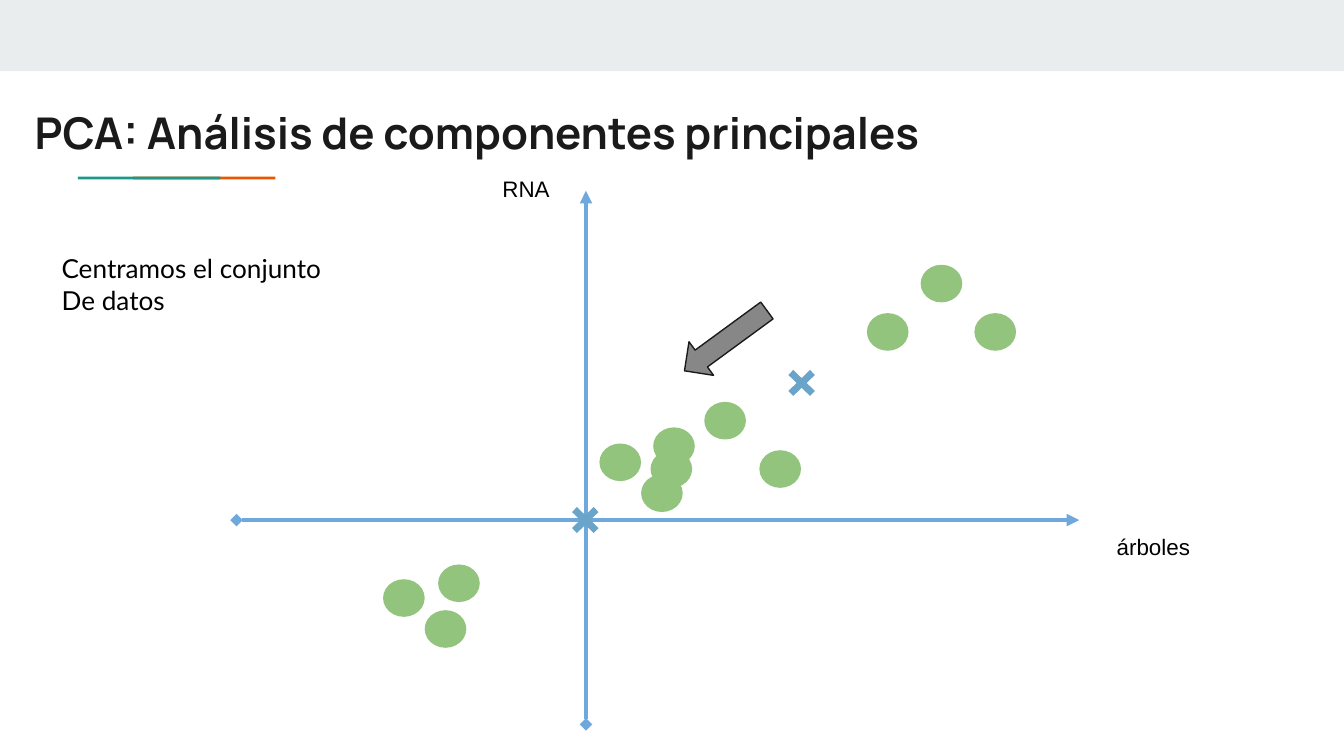
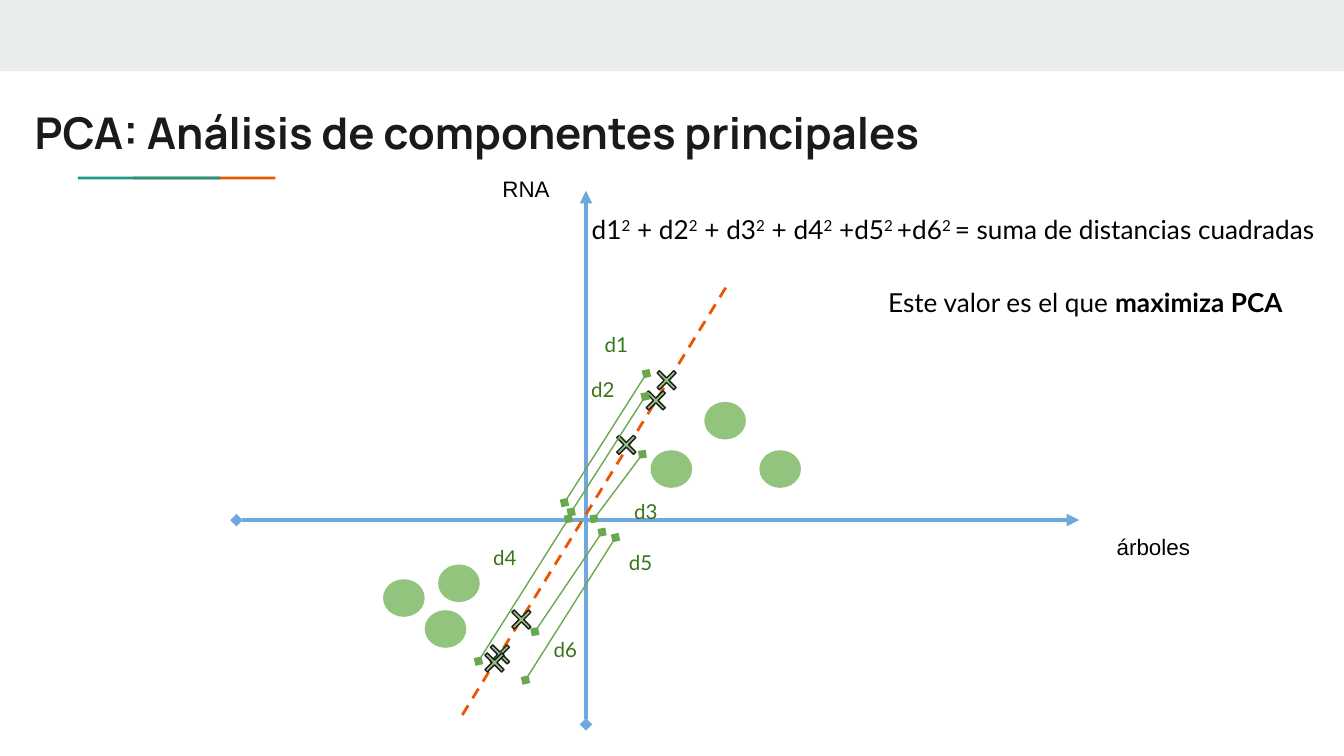
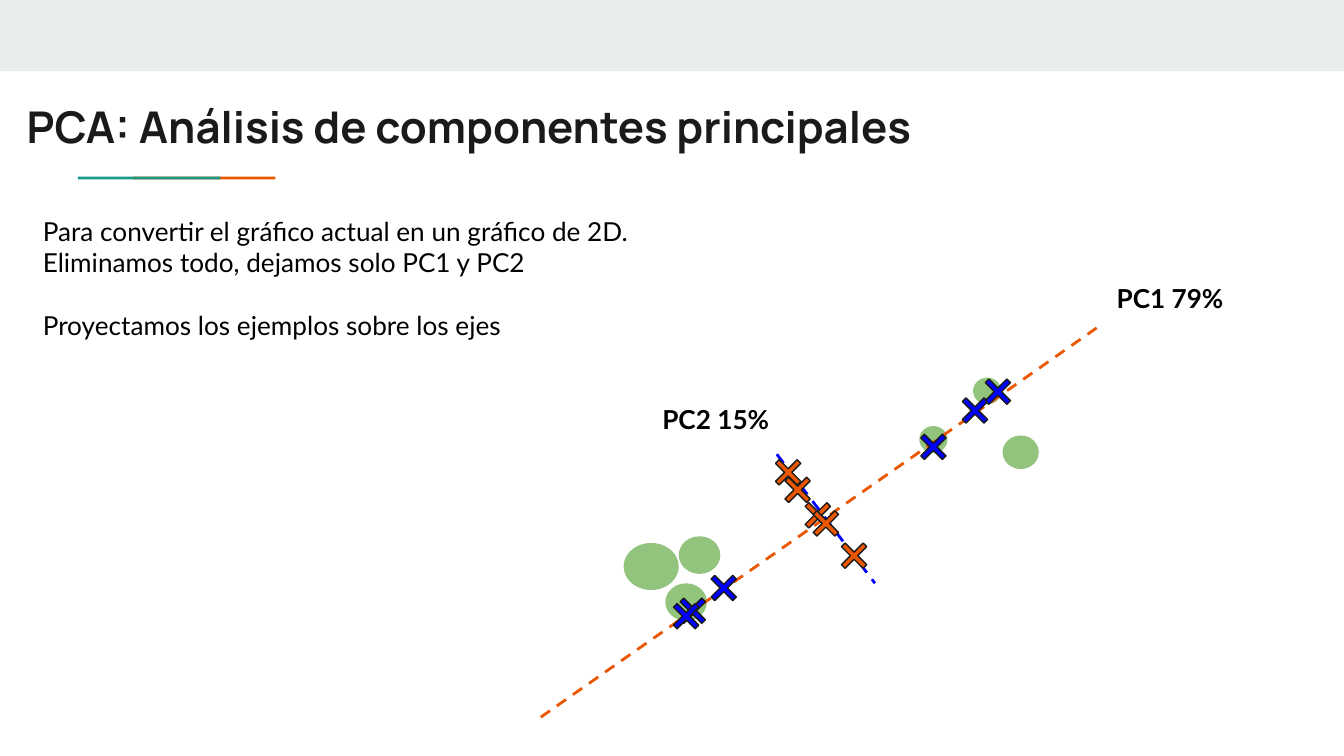
from lxml.etree import SubElement
from pptx import Presentation
from pptx.dml.color import RGBColor
from pptx.enum.dml import MSO_LINE
from pptx.enum.shapes import MSO_CONNECTOR, MSO_SHAPE
from pptx.enum.text import MSO_ANCHOR, MSO_AUTO_SIZE, PP_ALIGN
from pptx.oxml.ns import qn
from pptx.util import Inches, Pt

COLORS = {
    "band": "E9EDEE",
    "ink": "1A1A1A",
    "black": "000000",
    "teal": "1A9988",
    "orange": "EB5600",
    "axis": "6FA8DC",
    "center": "6AA4C8",
    "point": "93C47D",
    "distance": "6AA84F",
    "label": "38761D",
    "blue": "0000FF",
}
STYLES = {
    "title": ("ink", {"name": "Manrope", "size": Pt(23.4), "bold": True}),
    "axis": ("black", {"name": "Arial", "size": Pt(12)}),
    "body": ("black", {"name": "Lato", "size": Pt(14)}),
    "strong": ("black", {"name": "Lato", "size": Pt(14), "bold": True}),
    "distance": ("label", {"name": "Lato", "size": Pt(11)}),
}
TITLE = "PCA: Análisis de componentes principales"
LOWER_POINTS = [(3.16, 4.54), (2.85, 4.31), (3.26, 4.2)]
UPPER_POINTS = [(4.84, 3.35), (5.24, 2.99), (5.65, 3.35)]


def rgb(name):
    return RGBColor.from_string(COLORS[name])


class Deck:
    def __init__(self):
        self.presentation = Presentation()
        self.presentation.slide_width = Inches(10)
        self.presentation.slide_height = Inches(5.625)
        self.slide = None

    def new_slide(self, title_left=0.16, title_top=0.69):
        self.slide = self.presentation.slides.add_slide(self.presentation.slide_layouts[6])
        self.shape(MSO_SHAPE.RECTANGLE, (0, 0, 10, 0.53), "band")
        for left, color in ((0.99, "orange"), (0.58, "teal")):
            self.shape(MSO_SHAPE.RECTANGLE, (left, 1.315, 1.06, 0.02), color)
        title = self.text([TITLE], (title_left, title_top, 8.41, 0.59), "title")
        title.text_frame.auto_size = MSO_AUTO_SIZE.NONE
        title.text_frame.vertical_anchor = MSO_ANCHOR.MIDDLE

    def shape(self, kind, place, fill, outlined=False, rotation=0):
        shape = self.slide.shapes.add_shape(kind, *map(Inches, place))
        shape.shadow.inherit = False
        shape.rotation = rotation
        shape.fill.solid()
        shape.fill.fore_color.rgb = rgb(fill)
        if outlined:
            shape.line.color.rgb = rgb("ink")
            shape.line.width = Pt(0.75)
        else:
            shape.line.fill.background()
        return shape

    def points(self, positions, width=0.31, height=0.28):
        for left, top in positions:
            self.shape(MSO_SHAPE.OVAL, (left, top, width, height), "point")

    def crosses(self, positions, fill, size, thickness, outlined=True):
        for left, top in positions:
            cross = self.shape(MSO_SHAPE.MATH_MULTIPLY, (left, top, *size), fill, outlined)
            cross.adjustments[0] = thickness

    def arrow(self, place, rotation, opacity):
        arrow = self.shape(MSO_SHAPE.LEFT_ARROW, place, "ink", True, rotation)
        color = arrow._element.spPr.find(qn("a:solidFill")).find(qn("a:srgbClr"))
        SubElement(color, qn("a:alpha"), val=str(opacity * 1000))

    def line(self, start, end, color, width, dash=None, head=None, tail=None):
        connector = self.slide.shapes.add_connector(
            MSO_CONNECTOR.STRAIGHT, *map(Inches, (*start, *end)))
        line = connector.line
        line.color.rgb = rgb(color)
        line.width = Pt(width)
        if dash:
            line.dash_style = dash
        properties = connector._element.spPr
        for tag, kind in (("a:headEnd", head), ("a:tailEnd", tail)):
            if kind:
                SubElement(properties.find(qn("a:ln")), qn(tag), type=kind)
        SubElement(properties, qn("a:effectLst"))

    def text(self, paragraphs, place, style, align=PP_ALIGN.LEFT):
        box = self.slide.shapes.add_textbox(*map(Inches, place))
        frame = box.text_frame
        frame.word_wrap = True
        frame.auto_size = MSO_AUTO_SIZE.SHAPE_TO_FIT_TEXT
        for side in ("left", "right", "top", "bottom"):
            setattr(frame, f"margin_{side}", Inches(0.1))
        for index, content in enumerate(paragraphs):
            paragraph = frame.paragraphs[0] if index == 0 else frame.add_paragraph()
            paragraph.alignment = align
            runs = [(content, {})] if isinstance(content, str) else content
            for words, changes in runs:
                self.run(paragraph, words, style, **changes)
        return box

    def run(self, paragraph, words, style, raised=False, **changes):
        run = paragraph.add_run()
        run.text = words
        color, values = STYLES[style]
        for name, value in {**values, **changes}.items():
            setattr(run.font, name, value)
        run.font.color.rgb = rgb(color)
        if raised:
            run._r.get_or_add_rPr().set("baseline", "30000")

    def axes(self):
        for start, end in (((1.76, 3.87), (8.03, 3.87)), ((4.36, 5.39), (4.36, 1.42))):
            self.line(start, end, "axis", 2.25, head="diamond", tail="triangle")
        self.text(["árboles"], (8.21, 3.87, 0.91, 0.4), "axis")
        self.text(["RNA"], (3.64, 1.2, 0.61, 0.4), "axis")


def centering_slide(deck):
    deck.new_slide()
    deck.axes()
    deck.points([(4.77, 3.53), (4.46, 3.3), (4.86, 3.18)])
    deck.points([(6.45, 2.33), (6.85, 1.97), (7.25, 2.33)])
    deck.arrow((5.02, 2.38, 0.76, 0.31), 323.8, 52)
    deck.points(LOWER_POINTS + UPPER_POINTS)
    deck.crosses([(5.81, 2.7), (4.2, 3.72)], "center", (0.31, 0.3), 0.172, outlined=False)
    deck.text(["Centramos el conjunto", "De datos"], (0.36, 1.78, 2.14, 0.67), "body")


def distances_slide(deck):
    deck.new_slide()
    deck.axes()
    deck.points(LOWER_POINTS + UPPER_POINTS)
    deck.line((3.44, 5.32), (5.4, 2.14), "orange", 1.5, MSO_LINE.DASH)
    projections = [(4.84, 2.71), (4.76, 2.86), (4.54, 3.19),
                   (3.76, 4.49), (3.6, 4.75), (3.56, 4.81)]
    deck.crosses(projections, "point", (0.24, 0.24), 0.104)
    distances = [
        ((4.2, 3.74), (4.81, 2.78), (4.4, 2.38)),
        ((4.25, 3.81), (4.8, 2.95), (4.3, 2.71)),
        ((4.42, 3.86), (4.78, 3.38), (4.62, 3.62)),
        ((3.56, 4.92), (4.23, 3.86), (3.57, 3.96)),
        ((3.91, 5.06), (4.58, 4), (4.58, 4)),
        ((3.98, 4.7), (4.48, 3.96), (4.02, 4.65)),
    ]
    for number, (start, end, label) in enumerate(distances, 1):
        deck.line(start, end, "distance", 0.75, head="diamond", tail="diamond")
        deck.text([f"d{number}"], (*label, 0.41, 0.39), "distance")
    formula = []
    for term, power in (("d1", "2"), (" + d2", "2"), (" + d3", "2"),
                        (" + d4", "2"), (" +d5", "2 "), ("+d6", "2 ")):
        formula += [(term, {}), (power, {"raised": True})]
    formula.append(("= suma de distancias cuadradas", {}))
    deck.text([formula], (3.56, 1.49, 6.32, 0.44), "body", PP_ALIGN.RIGHT)
    goal = [("Este valor es el que ", {}), ("maximiza PCA", {"bold": True})]
    deck.text([goal], (6.51, 2.03, 3.3, 0.44), "body")


def projection_slide(deck):
    deck.new_slide(0.1, 0.64)
    deck.points([(4.95, 4.34), (5.05, 3.99)])
    deck.points([(4.64, 4.04)], 0.41, 0.35)
    deck.points([(6.84, 3.17), (7.24, 2.81)], 0.21, 0.2)
    deck.points([(7.46, 3.24)], 0.27, 0.25)
    deck.line((8.16, 2.44), (3.99, 5.36), "orange", 1.5, MSO_LINE.DASH)
    deck.line((5.78, 3.38), (6.51, 4.34), "blue", 1.5, MSO_LINE.DASH)
    deck.text(["PC1 79%"], (8.21, 2, 1.1, 0.44), "strong")
    deck.text(["PC2 15%"], (4.83, 2.9, 1.1, 0.44), "strong")
    deck.text(["Para convertir el gráfico actual en un gráfico de 2D.",
               "Eliminamos todo, dejamos solo PC1 y PC2"], (0.22, 1.5, 4.68, 0.67), "body")
    deck.text(["Proyectamos los ejemplos sobre los ejes"], (0.22, 2.2, 4.68, 0.44), "body")
    first_component = [(6.79, 3.17), (7.1, 2.9), (7.27, 2.76),
                       (5, 4.39), (5.23, 4.22), (4.95, 4.43)]
    second_component = [(5.93, 3.68), (6.2, 3.98), (5.78, 3.49), (5.71, 3.36), (5.99, 3.74)]
    for positions, color in ((first_component, "blue"), (second_component, "orange")):
        deck.crosses(positions, color, (0.31, 0.31), 0.124)


def main():
    deck = Deck()
    centering_slide(deck)
    distances_slide(deck)
    projection_slide(deck)
    deck.presentation.save("out.pptx")


if __name__ == "__main__":
    main()
